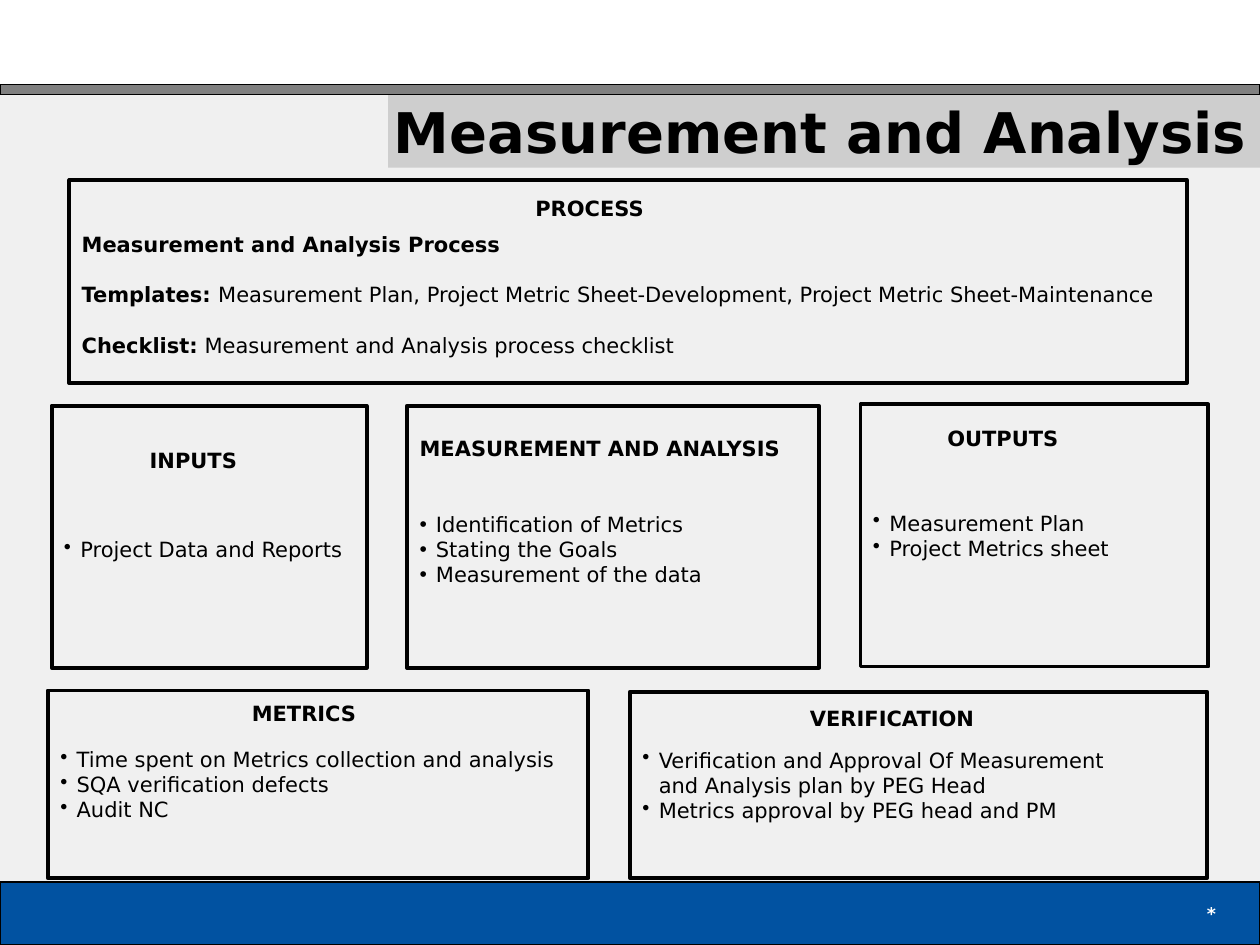
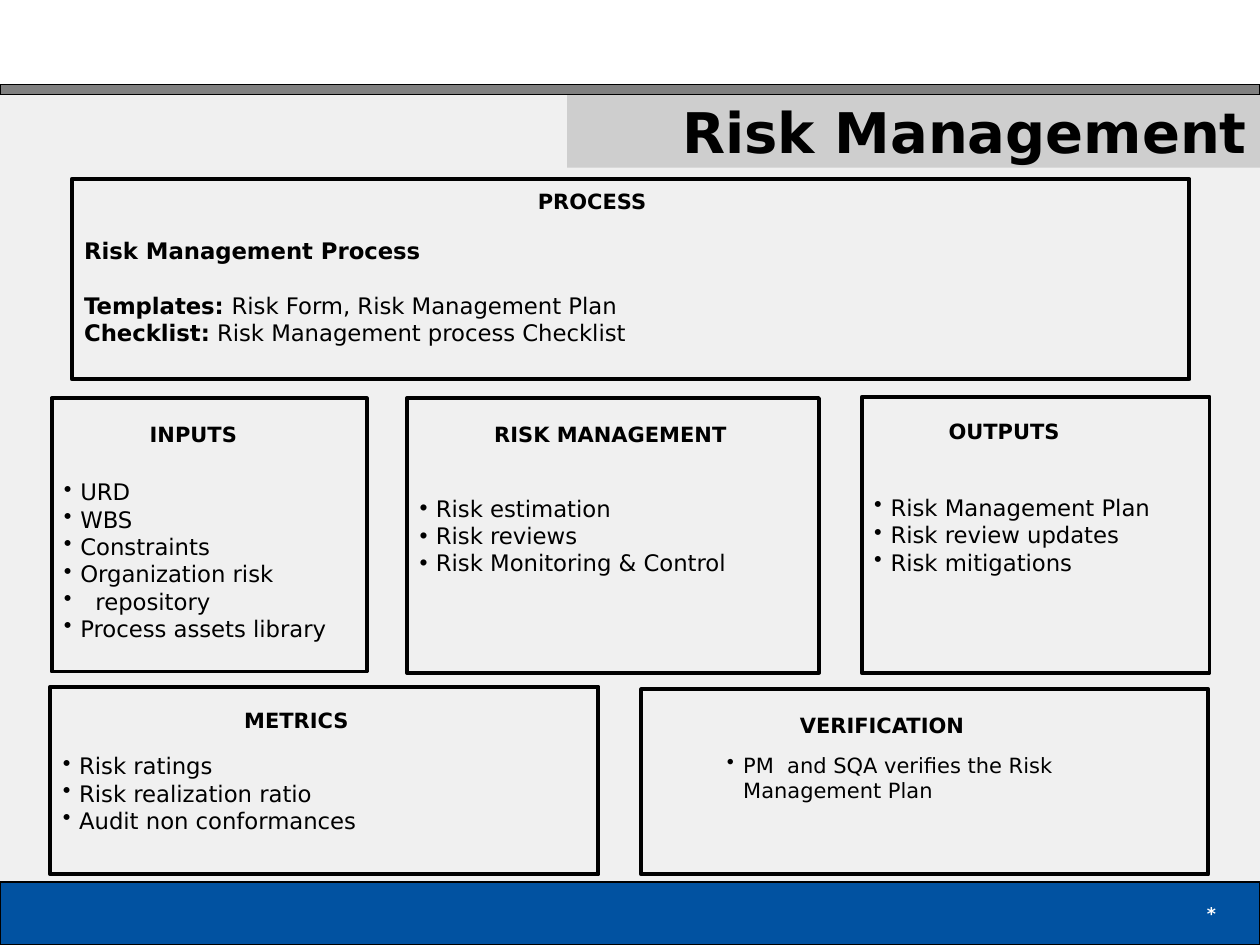
"""Build two process overview slides: Measurement and Analysis, Risk Management."""
from lxml.etree import SubElement
from pptx import Presentation
from pptx.dml.color import RGBColor
from pptx.enum.shapes import MSO_SHAPE as SHAPE
from pptx.enum.text import MSO_ANCHOR as ANCHOR, MSO_AUTO_SIZE as AUTO, PP_ALIGN as ALIGN
from pptx.oxml.ns import qn
from pptx.util import Inches, Pt

FONT = "DejaVu Sans"
PAPER, BLUE, GREY, TITLE_GREY = "F0F0F0", "0152A1", "808080", "CECECE"
BLACK, WHITE = "000000", "FFFFFF"
LABEL_SIZE, LABEL_HEIGHT, LINE_STEP = 12, 0.3, 0.2
HANG, DEEP_HANG = 0.13, 0.25
DEEP_BULLETS = {"repository"}
BANDS = [
    ((0, 7, 10, 0.5), BLUE, BLACK),
    ((0, 0, 10, 0.67), WHITE, None),
    ((0, 0.67, 10, 0.08), GREY, BLACK),
]

# Box: place, shift down in lines, lines. Line: bullet, or (bold, plain, blank lines after).
# Label: left, top, width, text, alignment.
SLIDES = [
    {
        "title": "Measurement and Analysis", "title_left": 3.08, "size": 12,
        "main": ((3.23, 3.22, 3.27, 2.08), -2, [
            ("MEASUREMENT AND ANALYSIS", "", 2),
            "Identification of Metrics", "Stating the Goals", "Measurement of the data"]),
        "boxes": [
            ((0.38, 5.48, 4.29, 1.49), 0, [
                "Time spent on Metrics collection and analysis",
                "SQA verification defects", "Audit NC"]),
            ((0.55, 1.43, 8.87, 1.61), 1, [
                ("Measurement and Analysis Process", "", 1),
                ("Templates: ", "Measurement Plan, Project Metric Sheet-Development, "
                 "Project Metric Sheet-Maintenance", 1),
                ("Checklist:", " Measurement and Analysis process checklist", 0)]),
            ((5, 5.49, 4.58, 1.48), 0, [
                "Verification and Approval Of Measurement\vand Analysis plan by PEG Head",
                "Metrics approval by PEG head and PM"]),
            ((0.41, 3.22, 2.5, 2.08), 1, ["Project Data and Reports"]),
            ((6.83, 3.21, 2.76, 2.08), 0, ["Measurement Plan", "Project Metrics sheet"]),
        ],
        "labels": [
            (4.15, 1.5, 1.42, "PROCESS", ALIGN.LEFT),
            (1.9, 5.51, 1.17, "METRICS", ALIGN.LEFT),
            (7.42, 3.33, 1.17, "OUTPUTS", ALIGN.LEFT),
            (1.09, 3.5, 1.17, "INPUTS", ALIGN.LEFT),
            (6.33, 5.55, 1.83, "VERIFICATION", ALIGN.LEFT),
        ],
        "notes": [],
    },
    {
        "title": "Risk Management", "title_left": 4.5, "size": 13,
        "main": ((3.23, 3.16, 3.27, 2.18), 0, [
            "Risk estimation", "Risk reviews", "Risk Monitoring & Control"]),
        "boxes": [
            ((0.4, 5.45, 4.35, 1.49), 1, [
                "Risk ratings", "Risk realization ratio", "Audit non conformances"]),
            ((0.57, 1.42, 8.87, 1.59), 1, [
                ("Risk Management Process", "", 1),
                ("Templates: ", "Risk Form, Risk Management Plan", 0),
                ("Checklist:", " Risk Management process Checklist", 0)]),
            ((5.09, 5.47, 4.5, 1.47), 0, []),
            ((0.41, 3.16, 2.5, 2.17), 2, [
                "URD", "WBS", "Constraints", "Organization risk", "repository",
                "Process assets library"]),
            ((6.84, 3.15, 2.76, 2.19), 0, [
                "Risk Management Plan", "Risk review updates", "Risk mitigations"]),
        ],
        "labels": [
            (4.17, 1.45, 1.42, "PROCESS", ALIGN.LEFT),
            (1.84, 5.57, 1.17, "METRICS", ALIGN.LEFT),
            (7.43, 3.27, 1.17, "OUTPUTS", ALIGN.LEFT),
            (1.09, 3.3, 1.17, "INPUTS", ALIGN.LEFT),
            (6.25, 5.61, 1.83, "VERIFICATION", ALIGN.LEFT),
            (3.26, 3.3, 3.17, "RISK MANAGEMENT", ALIGN.CENTER),
        ],
        "notes": [((5.67, 5.92, 3.42, 0.5),
                   ["PM  and SQA verifies the Risk Management Plan"])],
    },
]


def color(code):
    return RGBColor.from_string(code)


def assign(target, **values):
    for key, value in values.items():
        setattr(target, key, value)


def inches(place):
    return [Inches(value) for value in place]


def move(holder, place):
    assign(holder, **dict(zip(("left", "top", "width", "height"), inches(place))))


def paint(shape, fill=None, line=None, weight=0.75):
    shape.shadow.inherit = False
    for part, code in ((shape.fill, fill), (shape.line.fill, line)):
        if code:
            part.solid()
            part.fore_color.rgb = color(code)
        else:
            part.background()
    if line:
        shape.line.width = Pt(weight)


def set_frame(frame, anchor=ANCHOR.MIDDLE, shift=0, left=0.1):
    assign(frame, word_wrap=True, auto_size=AUTO.NONE, vertical_anchor=anchor,
           margin_left=Inches(left), margin_right=Inches(0.1),
           margin_top=Inches(0.05 + LINE_STEP * max(shift, 0)),
           margin_bottom=Inches(0.05 + LINE_STEP * max(-shift, 0)))


def set_bullet(paragraph, hang):
    props = paragraph._p.get_or_add_pPr()
    props.set("marL", str(Inches(hang)))
    props.set("indent", str(-Inches(hang)))
    if hang:
        bullet_color = SubElement(props, qn("a:buClr"))
        SubElement(bullet_color, qn("a:srgbClr"), val=BLACK)
        SubElement(props, qn("a:buChar"), char="•")
    else:
        SubElement(props, qn("a:buNone"))


def style_font(font, size, bold=True, code=BLACK):
    assign(font, name=FONT, size=Pt(size), bold=bold)
    font.color.rgb = color(code)


def write_line(frame, text, size, align=ALIGN.LEFT, code=BLACK):
    paragraph = frame.paragraphs[0]
    paragraph.text = text
    paragraph.alignment = align
    style_font(paragraph.runs[0].font, size, code=code)


def write_lines(frame, lines, size):
    for number, line in enumerate(lines):
        paragraph = frame.add_paragraph() if number else frame.paragraphs[0]
        if isinstance(line, str):
            hang = DEEP_HANG if line in DEEP_BULLETS else HANG
            bold, plain, blanks = "", line, 0
        else:
            hang = 0
            bold, plain, blanks = line
        set_bullet(paragraph, hang)
        assign(paragraph, alignment=ALIGN.LEFT, space_before=Pt(0),
               space_after=Pt(1.2 * size * blanks))
        for text, is_bold in ((bold, True), (plain, False)):
            for row, part in enumerate(text.split("\v") if text else []):
                if row:
                    paragraph.add_line_break()
                run = paragraph.add_run()
                run.text = part
                style_font(run.font, size, is_bold)


def fill_box(box, shift, lines, size):
    paint(box, line=BLACK, weight=2.25)
    set_frame(box.text_frame, shift=shift)
    write_lines(box.text_frame, lines, size)


def add_label(slide, place, text, size, align, code=BLACK, anchor=ANCHOR.TOP):
    frame = slide.shapes.add_textbox(*inches(place)).text_frame
    set_frame(frame, anchor)
    write_line(frame, text, size, align, code)


def add_base(slide, title, title_left):
    background = slide.background.fill
    background.solid()
    background.fore_color.rgb = color(PAPER)
    for place, fill, line in BANDS:
        paint(slide.shapes.add_shape(SHAPE.RECTANGLE, *inches(place)), fill, line)
    add_label(slide, (7.67, 7, 2.08, 0.5), "*", 10, ALIGN.RIGHT, WHITE, ANCHOR.MIDDLE)
    heading = slide.shapes.title
    move(heading, (title_left, 0.75, 10 - title_left, 0.58))
    paint(heading, TITLE_GREY)
    set_frame(heading.text_frame, left=0)
    write_line(heading.text_frame, title, 32, ALIGN.RIGHT)


def build_slide(deck, content):
    slide = deck.slides.add_slide(deck.slide_layouts[1])
    add_base(slide, content["title"], content["title_left"])
    place, shift, lines = content["main"]
    main_box = slide.placeholders[1]
    move(main_box, place)
    fill_box(main_box, shift, lines, content["size"])
    for place, shift, lines in content["boxes"]:
        box = slide.shapes.add_shape(SHAPE.RECTANGLE, *inches(place))
        fill_box(box, shift, lines, content["size"])
    for left, top, width, text, align in content["labels"]:
        add_label(slide, (left, top, width, LABEL_HEIGHT), text, LABEL_SIZE, align)
    for place, lines in content["notes"]:
        frame = slide.shapes.add_textbox(*inches(place)).text_frame
        set_frame(frame, ANCHOR.TOP)
        write_lines(frame, lines, LABEL_SIZE)


def main():
    deck = Presentation()
    assign(deck, slide_width=Inches(10), slide_height=Inches(7.5))
    for content in SLIDES:
        build_slide(deck, content)
    deck.save("out.pptx")


if __name__ == "__main__":
    main()
